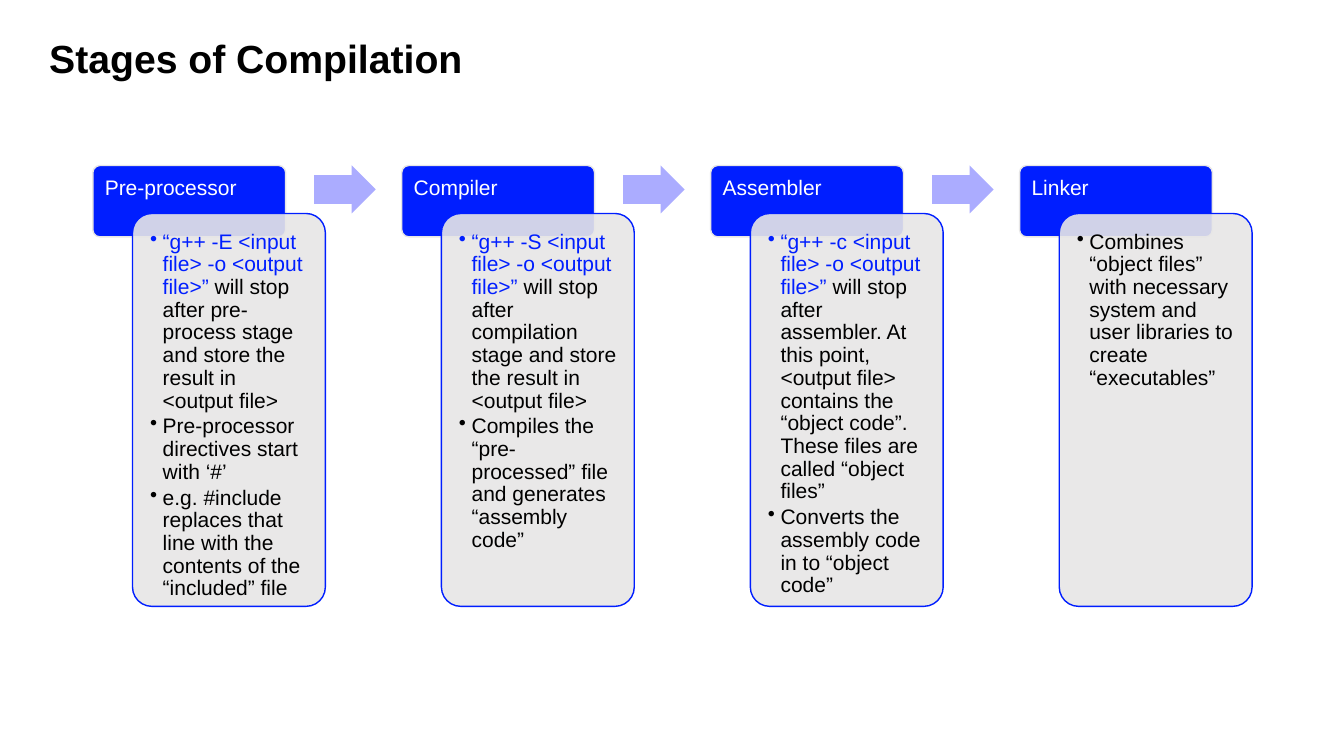
"""Builds the slide on the stages of compilation."""
import pptx
import pptx.dml.color
import pptx.enum.shapes
import pptx.enum.text
import pptx.oxml.ns
import pptx.util
from lxml import etree

Cm, Pt = pptx.util.Cm, pptx.util.Pt
RGBColor = pptx.dml.color.RGBColor
SHAPE = pptx.enum.shapes.MSO_SHAPE
qn = pptx.oxml.ns.qn

BLUE = RGBColor(0x00, 0x1E, 0xFF)
PALE_BLUE = RGBColor(0xAB, 0xAC, 0xFF)
GREY = RGBColor(0xE7, 0xE6, 0xE6)
BLACK = RGBColor(0, 0, 0)
WHITE = RGBColor(0xFF, 0xFF, 0xFF)

TITLE = "Stages of Compilation"
STAGES = [
    ("Pre-processor", [
        [("“g++ -E <input file> -o <output file>” ", BLUE),
         ("will stop after pre-process stage and store the result in <output file>", BLACK)],
        [("Pre-processor directives start with ‘#’", BLACK)],
        [("e.g. #include replaces that line with the contents of the “included” file", BLACK)],
    ]),
    ("Compiler", [
        [("“g++ -S <input file> -o <output file>”", BLUE),
         (" will stop after compilation stage and store the result in <output file>", BLACK)],
        [("Compiles the “pre-processed” file and generates “assembly code”", BLACK)],
    ]),
    ("Assembler", [
        [("“g++ -c <input file> -o <output file>” ", BLUE),
         ("will stop after assembler. At this point, <output file> contains the "
          "“object code”. These files are called “object files”", BLACK)],
        [("Converts the assembly code in to “object code”", BLACK)],
    ]),
    ("Linker", [
        [("Combines “object files” with necessary system and user libraries "
          "to create “executables”", BLACK)],
    ]),
]

LEFT, TOP, PITCH = 2.34, 4.17, 7.785
BOX_W, LABEL_H, CARD_H = 4.86, 1.8, 9.9
CARD_DX, CARD_DY = 1, 1.21
ARROW_DX, ARROW_W, ARROW_H = 5.58, 1.55, 1.21


def style_font(font, size, color, bold=False):
    """Set the face, size, colour and weight of a font."""
    font.name = "Arial"
    font.size = Pt(size)
    font.bold = bold
    font.color.rgb = color


def add_block(s, kind, box, adjustments, fill, line=None):
    """Add a filled preset shape at a box given in centimetres."""
    sp = s.shapes.add_shape(kind, *[Cm(v) for v in box])
    sp.shadow.inherit = False
    for i, value in enumerate(adjustments):
        sp.adjustments[i] = value
    sp.fill.solid()
    sp.fill.fore_color.rgb = fill
    if line is None:
        sp.line.fill.background()
    else:
        sp.line.color.rgb = line
        sp.line.width = Pt(1)
    return sp


def set_frame(sp, inset):
    """Give a shape wrapped, top-anchored text with even insets."""
    tf = sp.text_frame
    tf.word_wrap = True
    tf.vertical_anchor = pptx.enum.text.MSO_ANCHOR.TOP
    tf.margin_left = tf.margin_right = tf.margin_top = tf.margin_bottom = Cm(inset)
    return tf


def format_paragraph(p):
    """Left-align a paragraph with tight lines."""
    p.alignment = pptx.enum.text.PP_ALIGN.LEFT
    p.line_spacing = 0.9


def add_bullet(p):
    """Hang a round bullet in front of a paragraph."""
    pPr = p._p.get_or_add_pPr()
    pPr.set("marL", str(Cm(0.32)))
    pPr.set("indent", str(-Cm(0.32)))
    etree.SubElement(pPr, qn("a:buChar"), char="•")


def add_label(s, x, name):
    """Add the blue heading of a stage."""
    sp = add_block(s, SHAPE.ROUNDED_RECTANGLE, (x, TOP, BOX_W, LABEL_H), [0.1], BLUE, GREY)
    p = set_frame(sp, 0.25).paragraphs[0]
    p.text = name
    format_paragraph(p)
    style_font(p.runs[0].font, 15, WHITE)


def add_card(s, x, bullets):
    """Add the translucent card with the notes on a stage."""
    sp = add_block(s, SHAPE.ROUNDED_RECTANGLE,
                   (x + CARD_DX, TOP + CARD_DY, BOX_W, CARD_H), [0.1], GREY, BLUE)
    color = sp._element.spPr.find(qn("a:solidFill"))[0]
    etree.SubElement(color, qn("a:alpha"), val="90000")
    tf = set_frame(sp, 0.3)
    for i, runs in enumerate(bullets):
        p = tf.add_paragraph() if i else tf.paragraphs[0]
        p.level = 1
        format_paragraph(p)
        p.space_after = Pt(2.25)
        add_bullet(p)
        for text, run_color in runs:
            r = p.add_run()
            r.text = text
            style_font(r.font, 15, run_color)


def main():
    """Build and save the slide."""
    prs = pptx.Presentation()
    prs.slide_width, prs.slide_height = Cm(33.87), Cm(19.05)
    s = prs.slides.add_slide(prs.slide_layouts[5])

    title = s.shapes.title
    title.left, title.top, title.width, title.height = Cm(1.24), Cm(1.37), Cm(31.37), Cm(2.31)
    p = set_frame(title, 0).paragraphs[0]
    p.text = TITLE
    format_paragraph(p)
    p.line_spacing = Pt(19.4)
    style_font(p.runs[0].font, 28, BLACK, True)

    for i, (name, bullets) in enumerate(STAGES):
        x = LEFT + i * PITCH
        add_label(s, x, name)
        add_card(s, x, bullets)
        if i < len(STAGES) - 1:
            add_block(s, SHAPE.RIGHT_ARROW, (x + ARROW_DX, TOP, ARROW_W, ARROW_H),
                      [0.6, 0.5], PALE_BLUE)

    prs.save("out.pptx")


if __name__ == "__main__":
    main()
